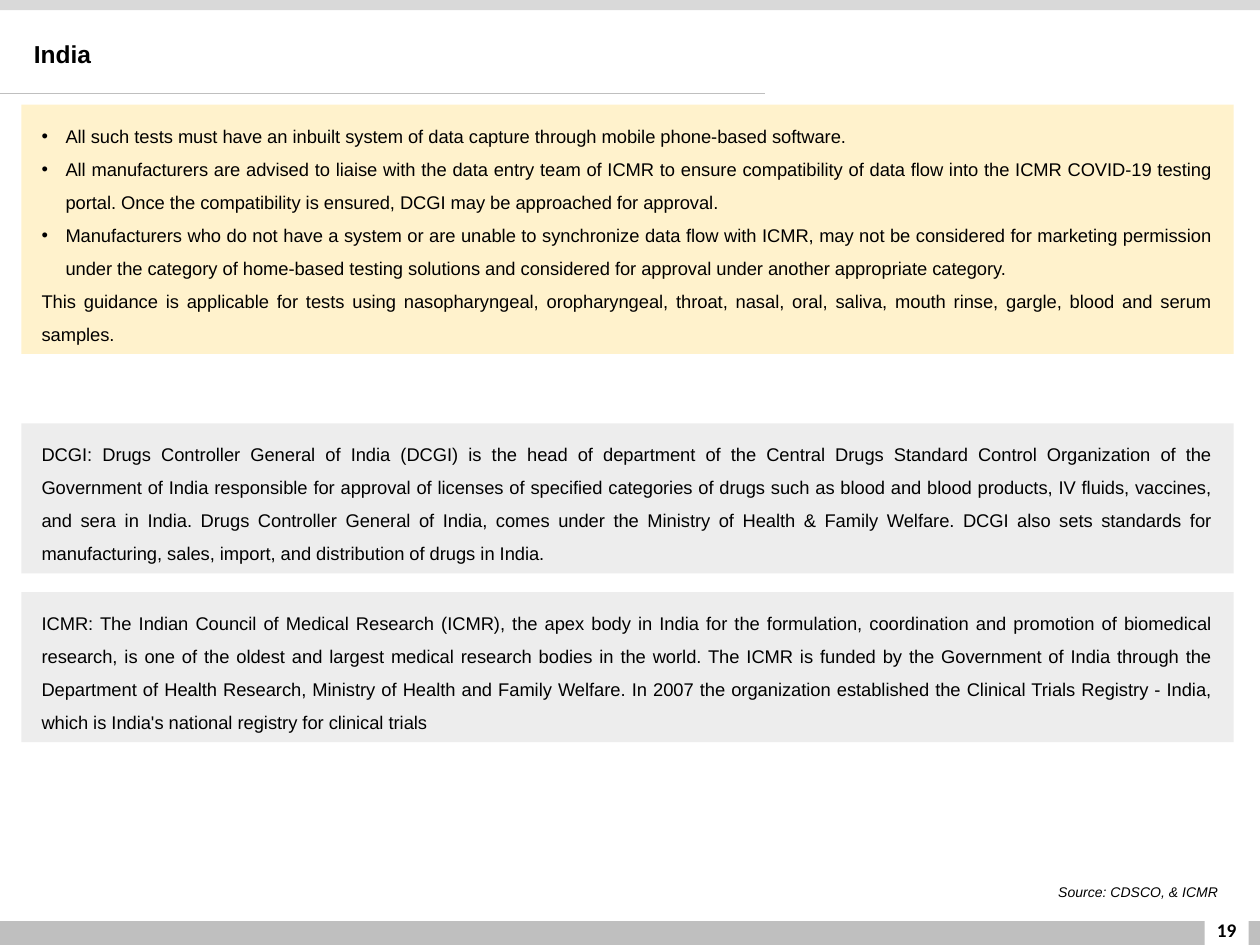
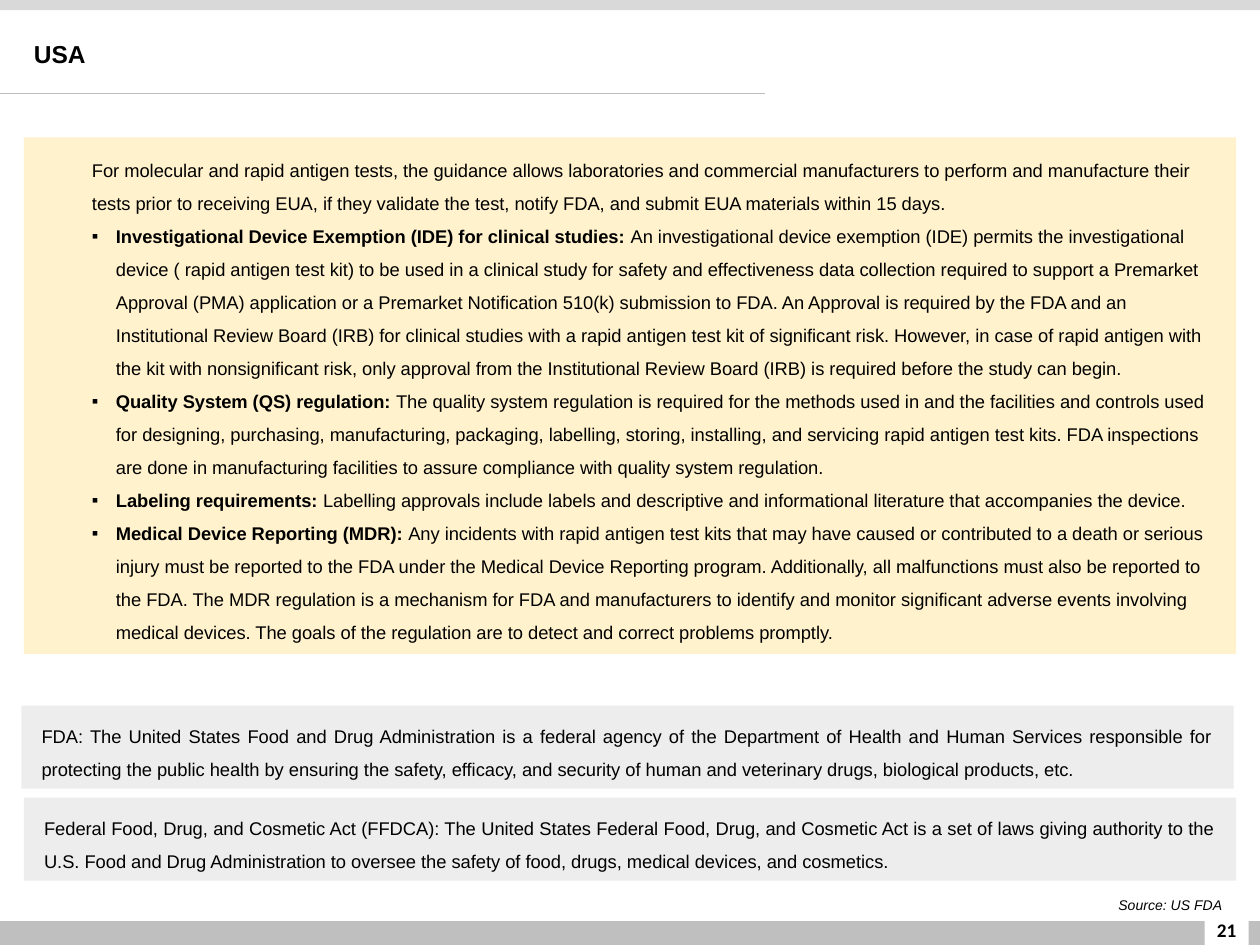
from lxml import etree
from pptx import Presentation
from pptx.dml.color import RGBColor
from pptx.enum.shapes import MSO_CONNECTOR, MSO_SHAPE
from pptx.enum.text import MSO_ANCHOR, MSO_AUTO_SIZE, PP_ALIGN
from pptx.oxml.ns import qn
from pptx.util import Emu, Pt

RECT = MSO_SHAPE.RECTANGLE
STRAIGHT = MSO_CONNECTOR.STRAIGHT
MIDDLE, TOP = MSO_ANCHOR.MIDDLE, MSO_ANCHOR.TOP
GROW, FIXED = MSO_AUTO_SIZE.SHAPE_TO_FIT_TEXT, MSO_AUTO_SIZE.NONE
LEFT, CENTER, RIGHT, JUSTIFY = PP_ALIGN.LEFT, PP_ALIGN.CENTER, PP_ALIGN.RIGHT, PP_ALIGN.JUSTIFY

SCALE = 9144
BLACK, WHITE, GRAY, PALE = "000000", "FFFFFF", "BFBFBF", "D9D9D9"
CREAM, SILVER = "FFF2CC", "EDEDED"
WIDE = 962
HANG = 19


def px(n):
    return Emu(n * SCALE)


def color(code):
    return RGBColor.from_string(code)


class Deck:
    def __init__(self):
        self.prs = Presentation()
        self.prs.slide_width, self.prs.slide_height = px(1000), px(750)

    def page(self, title, number):
        self.slide = self.prs.slides.add_slide(self.prs.slide_layouts[6])
        self.rect(-4, 731, 1005, 19, GRAY)
        self.rect(0, 0, 1002, 8, PALE)
        self.rect(956, 713, 35, 38, WHITE)
        self.label(949, 718, 49, 40, number, 11, CENTER, face="Calibri", bold=True)
        self.line(0, 74, 607, 74)
        self.label(17, 18, 801, 50, title, 14, LEFT, bold=True)

    def rect(self, x, y, w, h, fill):
        shape = self.slide.shapes.add_shape(RECT, px(x), px(y), px(w), px(h))
        shape.shadow.inherit = False
        shape.fill.solid()
        shape.fill.fore_color.rgb = color(fill)
        shape.line.fill.background()
        return shape

    def line(self, x1, y1, x2, y2):
        rule = self.slide.shapes.add_connector(STRAIGHT, px(x1), px(y1), px(x2), px(y2))
        rule.line.color.rgb = color(GRAY)
        rule.line.width = Pt(0.5)
        etree.SubElement(rule._element.spPr, qn("a:effectLst"))

    def font(self, para, size, face="Arial", bold=False, italic=False):
        font = para.font
        font.size, font.name = Pt(size), face
        font.bold, font.italic = bold, italic
        font.color.rgb = color(BLACK)

    def label(self, x, y, w, h, text, size, align, anchor=MIDDLE, **style):
        box = self.slide.shapes.add_textbox(px(x), px(y), px(w), px(h))
        frame = box.text_frame
        frame.word_wrap = True
        frame.auto_size = FIXED
        frame.vertical_anchor = anchor
        para = frame.paragraphs[0]
        para.text = text
        para.alignment = align
        self.font(para, size, **style)

    def source(self, y, text):
        self.label(796, y, 184, 24, text, 8, RIGHT, TOP, italic=True)

    def panel(self, x, y, h, fill, items, align=JUSTIFY, indent=0):
        frame = self.rect(x, y, WIDE, h, fill).text_frame
        frame.word_wrap = True
        frame.auto_size = GROW
        frame.vertical_anchor = MIDDLE
        frame.margin_left = frame.margin_right = px(16)
        frame.margin_top = frame.margin_bottom = px(8)
        for i, (mark, head, body) in enumerate(items):
            para = frame.add_paragraph() if i else frame.paragraphs[0]
            self.item(para, mark, head, body, align, indent)

    def item(self, para, mark, head, body, align, indent):
        para.alignment = align
        para.line_spacing = 1.5
        props = para._p.get_or_add_pPr()
        props.set("marL", str(px(indent + HANG if mark else indent)))
        props.set("indent", str(px(-HANG if mark else 0)))
        if mark:
            etree.SubElement(props, qn("a:buFont"), typeface="Arial")
            etree.SubElement(props, qn("a:buChar"), char=mark)
        self.font(para, 10.5)
        if head:
            run = para.add_run()
            run.text = head + " "
            run.font.bold = True
        para.add_run().text = body

    def note(self, x, y, h, text):
        self.panel(x, y, h, SILVER, [("", "", text)])


INDIA = [
    ("•", "", "All such tests must have an inbuilt system of data capture through mobile phone-based software."),
    ("•", "", "All manufacturers are advised to liaise with the data entry team of ICMR to ensure compatibility "
     "of data flow into the ICMR COVID-19 testing portal. Once the compatibility is ensured, DCGI may be "
     "approached for approval."),
    ("•", "", "Manufacturers who do not have a system or are unable to synchronize data flow with ICMR, may not "
     "be considered for marketing permission under the category of home-based testing solutions and considered "
     "for approval under another appropriate category."),
    ("", "", "This guidance is applicable for tests using nasopharyngeal, oropharyngeal, throat, nasal, oral, "
     "saliva, mouth rinse, gargle, blood and serum samples."),
]
DCGI = (
    "DCGI: Drugs Controller General of India (DCGI) is the head of department of the Central Drugs Standard "
    "Control Organization of the Government of India responsible for approval of licenses of specified "
    "categories of drugs such as blood and blood products, IV fluids, vaccines, and sera in India. Drugs "
    "Controller General of India, comes under the Ministry of Health & Family Welfare. DCGI also sets standards "
    "for manufacturing, sales, import, and distribution of drugs in India."
)
ICMR = (
    "ICMR: The Indian Council of Medical Research (ICMR), the apex body in India for the formulation, "
    "coordination and promotion of biomedical research, is one of the oldest and largest medical research "
    "bodies in the world. The ICMR is funded by the Government of India through the Department of Health "
    "Research, Ministry of Health and Family Welfare. In 2007 the organization established the Clinical Trials "
    "Registry - India, which is India's national registry for clinical trials"
)
USA = [
    ("", "", "For molecular and rapid antigen tests, the guidance allows laboratories and commercial "
     "manufacturers to perform and manufacture their tests prior to receiving EUA, if they validate the test, "
     "notify FDA, and submit EUA materials within 15 days."),
    ("▪", "Investigational Device Exemption (IDE) for clinical studies:",
     "An investigational device exemption (IDE) permits the investigational device ( rapid antigen test kit) to "
     "be used in a clinical study for safety and effectiveness data collection required to support a Premarket "
     "Approval (PMA) application or a Premarket Notification 510(k) submission to FDA. An Approval is required "
     "by the FDA and an Institutional Review Board (IRB) for clinical studies with a rapid antigen test kit of "
     "significant risk. However, in case of rapid antigen with the kit with nonsignificant risk, only approval "
     "from the Institutional Review Board (IRB) is required before the study can begin."),
    ("▪", "Quality System (QS) regulation:",
     "The quality system regulation is required for the methods used in and the facilities and controls used "
     "for designing, purchasing, manufacturing, packaging, labelling, storing, installing, and servicing rapid "
     "antigen test kits. FDA inspections are done in manufacturing facilities to assure compliance with quality "
     "system regulation."),
    ("▪", "Labeling requirements:",
     "Labelling approvals include labels and descriptive and informational literature that accompanies the "
     "device."),
    ("▪", "Medical Device Reporting (MDR):",
     "Any incidents with rapid antigen test kits that may have caused or contributed to a death or serious "
     "injury must be reported to the FDA under the Medical Device Reporting program. Additionally, all "
     "malfunctions must also be reported to the FDA. The MDR regulation is a mechanism for FDA and manufacturers "
     "to identify and monitor significant adverse events involving medical devices. The goals of the regulation "
     "are to detect and correct problems promptly."),
]
FDA = (
    "FDA: The United States Food and Drug Administration is a federal agency of the Department of Health and "
    "Human Services responsible for protecting the public health by ensuring the safety, efficacy, and security "
    "of human and veterinary drugs, biological products, etc."
)
ACT = (
    "Federal Food, Drug, and Cosmetic Act (FFDCA): The United States Federal Food, Drug, and Cosmetic Act is a "
    "set of laws giving authority to the U.S. Food and Drug Administration to oversee the safety of food, drugs, "
    "medical devices, and cosmetics."
)


def main():
    deck = Deck()
    deck.page("India", "19")
    deck.panel(17, 83, 198, CREAM, INDIA)
    deck.note(17, 336, 119, DCGI)
    deck.note(17, 470, 119, ICMR)
    deck.source(696, "Source: CDSCO, & ICMR ")

    deck.page("USA", "21")
    deck.panel(19, 109, 410, CREAM, USA, LEFT, 38)
    deck.source(707, "Source: US FDA")
    deck.note(17, 560, 66, FDA)
    deck.note(19, 633, 66, ACT)
    deck.prs.save("out.pptx")


if __name__ == "__main__":
    main()
